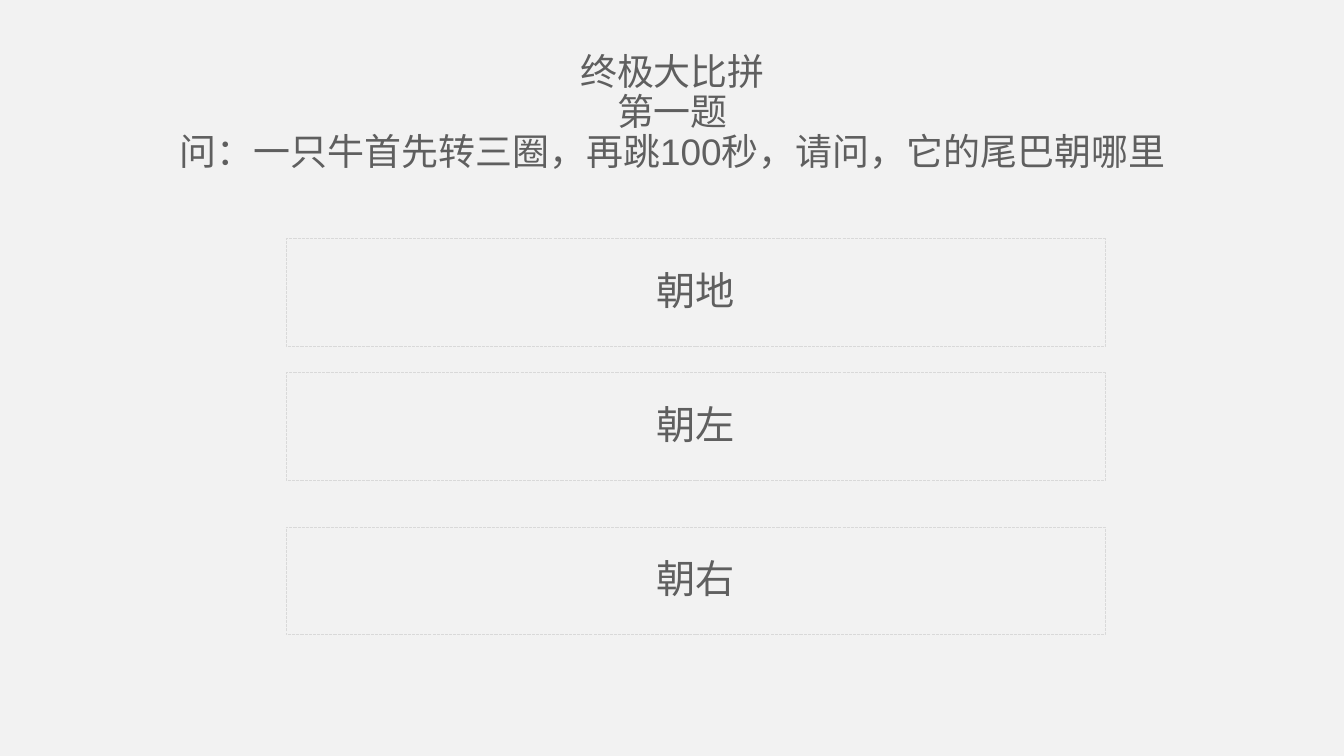
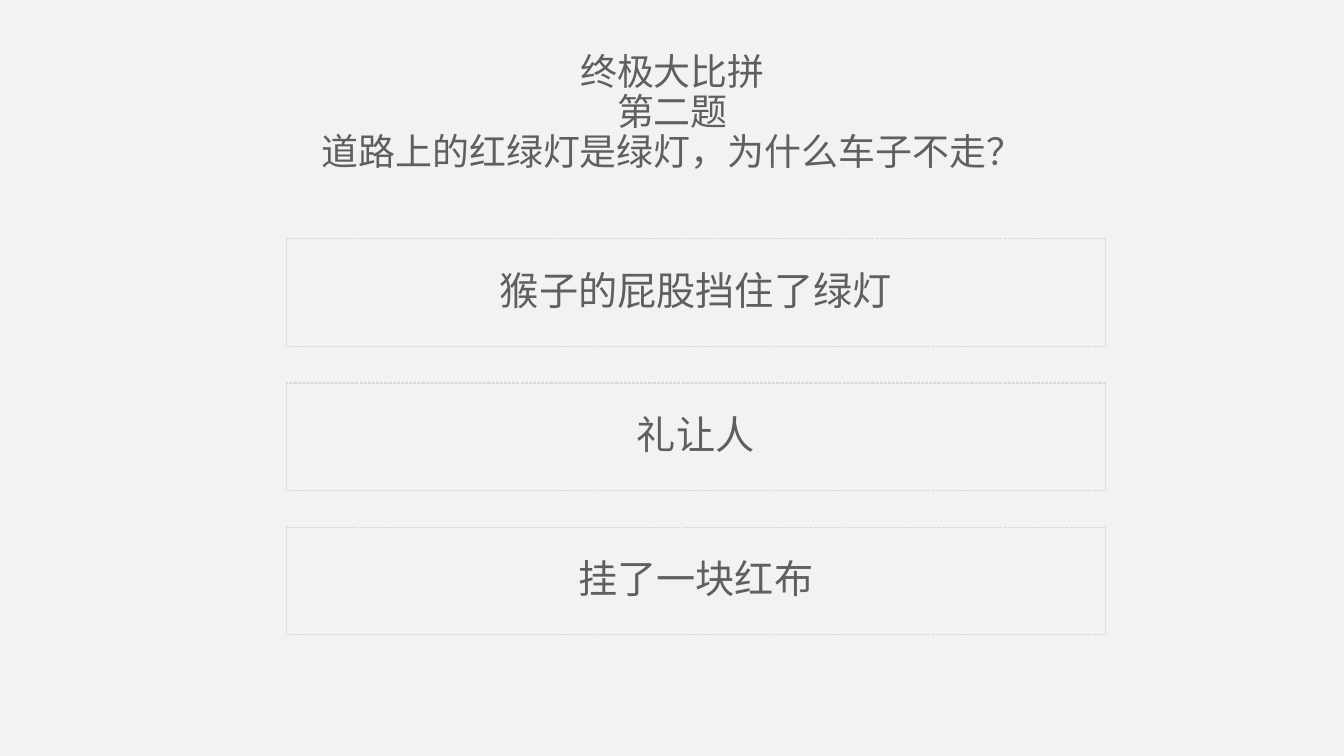
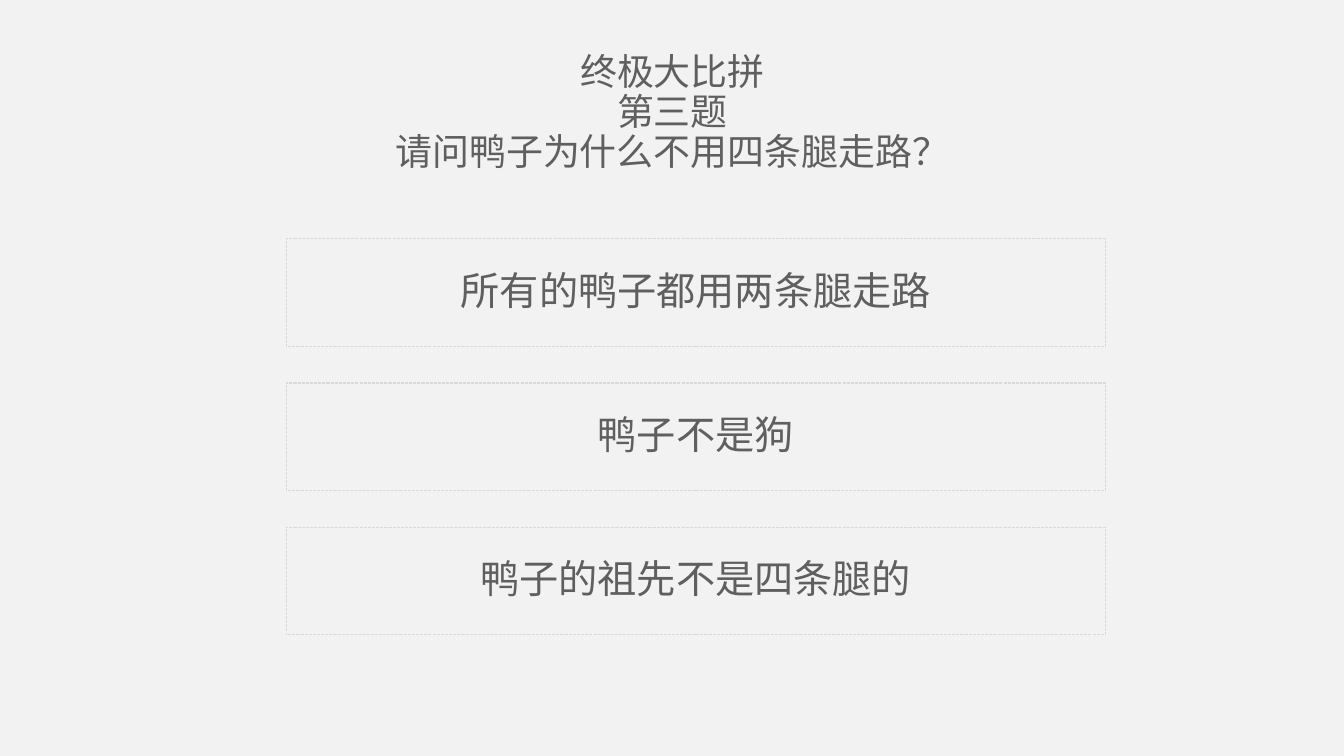
from pptx import Presentation
from pptx.dml.color import RGBColor
from pptx.enum.dml import MSO_LINE
from pptx.enum.lang import MSO_LANGUAGE_ID
from pptx.enum.shapes import MSO_SHAPE
from pptx.enum.text import MSO_ANCHOR, PP_ALIGN
from pptx.util import Inches, Pt

RECTANGLE = MSO_SHAPE.RECTANGLE
DASH = MSO_LINE.SQUARE_DOT
CENTER = PP_ALIGN.CENTER
MIDDLE = MSO_ANCHOR.MIDDLE
CHINESE = MSO_LANGUAGE_ID.SIMPLIFIED_CHINESE

COLORS = {"background": "F2F2F2", "text": "5F5F5F", "border": "D9D9D9"}
FONT = "Arial"
SLIDE_SIZE = (13.33, 7.5)

# Boxes are left, top, width, height in inches.
TITLE_BOX = (0.92, 0.4, 11.5, 1.45)
ANSWERS_BOX = (2.84, 2.37, 8.12, 3.93)
ANSWER_HEIGHT = 1.07

QUIZ_NAME = "终极大比拼"
# Number, question, answers, vertical shift of each answer from the even grid.
QUESTIONS = [
    ("第一题", "问：一只牛首先转三圈，再跳100秒，请问，它的尾巴朝哪里",
     ["朝地", "朝左", "朝右"], [0, -0.1, 0]),
    ("第二题", "道路上的红绿灯是绿灯，为什么车子不走？",
     ["猴子的屁股挡住了绿灯", "礼让人", "挂了一块红布"], [0, 0, 0]),
    ("第三题", "请问鸭子为什么不用四条腿走路？",
     ["所有的鸭子都用两条腿走路", "鸭子不是狗", "鸭子的祖先不是四条腿的"], [0, 0, 0]),
]


def color(name):
    return RGBColor.from_string(COLORS[name])


def write_lines(shape, lines, size, space_before=0):
    frame = shape.text_frame
    frame.word_wrap = True
    frame.vertical_anchor = MIDDLE
    frame.text = "\n".join(lines)
    for para in frame.paragraphs:
        para.alignment = CENTER
        para.line_spacing = 0.9
        para.space_before = Pt(space_before)
        for span in para.runs:
            span.font.name = FONT
            span.font.size = Pt(size)
            span.font.color.rgb = color("text")
            span.font.language_id = CHINESE


def add_title(page, box, lines):
    title = page.shapes.add_textbox(*map(Inches, box))
    write_lines(title, lines, 26.4)


def add_answers(page, box, answers, shifts):
    """Spread the answer frames evenly over the box, then apply the shifts."""
    left, top, width, height = box
    pitch = (height - ANSWER_HEIGHT) / (len(answers) - 1)
    for row, (answer, shift) in enumerate(zip(answers, shifts)):
        place = (left, top + row * pitch + shift, width, ANSWER_HEIGHT)
        frame = page.shapes.add_shape(RECTANGLE, *map(Inches, place))
        frame.shadow.inherit = False
        frame.fill.background()
        frame.line.color.rgb = color("border")
        frame.line.width = Pt(0.75)
        frame.line.dash_style = DASH
        write_lines(frame, [answer], 28, space_before=10)


def add_question_page(deck, number, question, answers, shifts):
    page = deck.slides.add_slide(deck.slide_layouts[6])
    add_title(page, TITLE_BOX, [QUIZ_NAME, number, question])
    add_answers(page, ANSWERS_BOX, answers, shifts)


def main():
    deck = Presentation()
    deck.slide_width, deck.slide_height = map(Inches, SLIDE_SIZE)
    backdrop = deck.slide_master.background.fill
    backdrop.solid()
    backdrop.fore_color.rgb = color("background")
    for entry in QUESTIONS:
        add_question_page(deck, *entry)
    deck.save("out.pptx")


if __name__ == "__main__":
    main()
